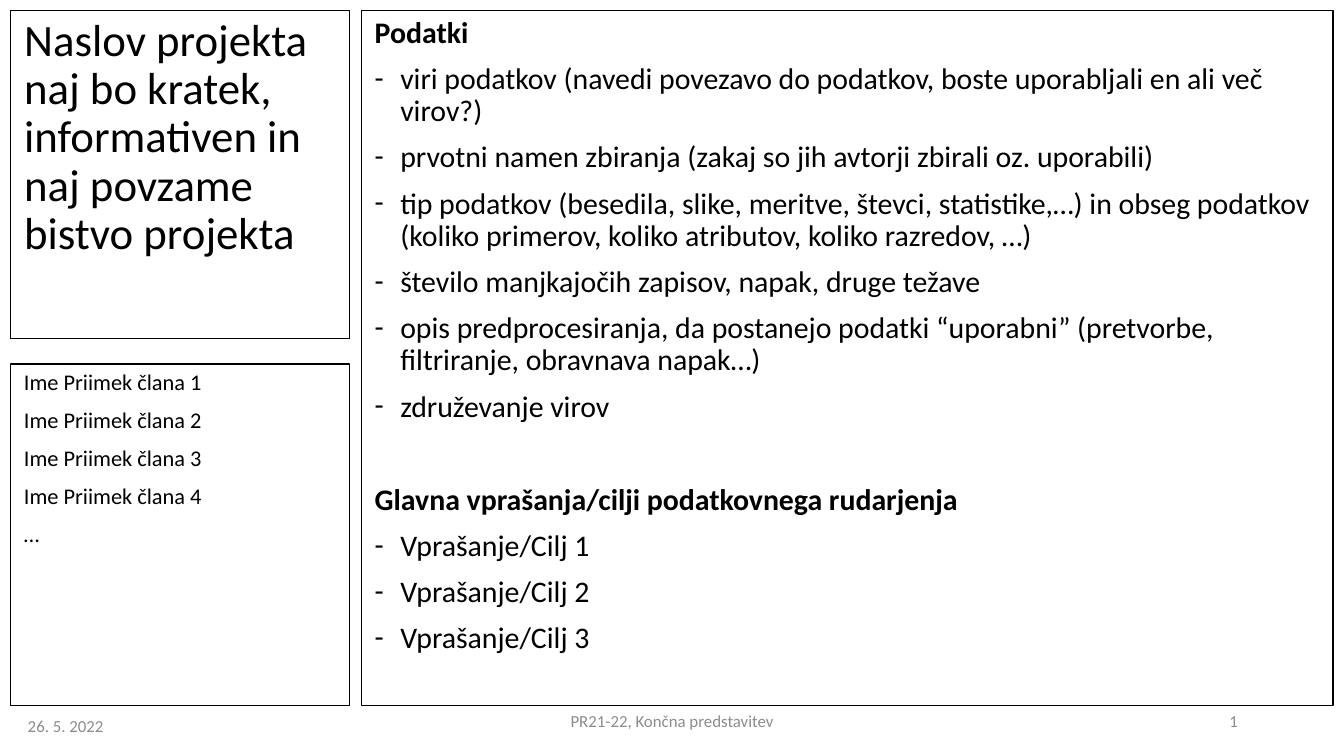
"""Build the project presentation slide with title, members, data and goals."""
from dataclasses import dataclass

from lxml.etree import SubElement
from pptx import Presentation
from pptx.dml.color import RGBColor
from pptx.enum.text import MSO_ANCHOR, MSO_AUTO_SIZE, PP_ALIGN
from pptx.oxml.ns import qn
from pptx.shapes.base import BaseShape
from pptx.slide import Slide
from pptx.util import Inches, Pt

BLACK = RGBColor(0x00, 0x00, 0x00)
GRAY = RGBColor(0x8C, 0x8C, 0x8C)
FONT = "Calibri"
SLIDE_WIDTH = Inches(10)
SLIDE_HEIGHT = SLIDE_WIDTH * 9 // 16
PARAGRAPH_GAP = 7.5
SECTION_GAP = 32.5
BULLET_INDENT = Inches(0.19)


@dataclass(frozen=True)
class Box:
    left: float
    top: float
    width: float
    height: float


@dataclass(frozen=True)
class Line:
    text: str
    size: float
    color: RGBColor = BLACK
    bold: bool = False
    bullet: bool = False
    before: float = PARAGRAPH_GAP
    spacing: float = 0.9
    align: PP_ALIGN = PP_ALIGN.LEFT


@dataclass(frozen=True)
class Section:
    heading: str
    points: tuple[str, ...]
    before: float


@dataclass(frozen=True)
class Footer:
    text: str
    box: Box
    align: PP_ALIGN


TITLE = "Naslov projekta naj bo kratek, informativen in naj povzame bistvo projekta"
TITLE_BOX = Box(0.08, 0.08, 2.52, 2.44)
MEMBERS_BOX = Box(0.08, 2.71, 2.52, 2.54)
CONTENT_BOX = Box(2.69, 0.08, 7.23, 5.17)
MEMBERS = [f"Ime Priimek člana {number}" for number in range(1, 5)] + ["…"]
SECTIONS = (
    Section("Podatki", (
        "viri podatkov (navedi povezavo do podatkov, boste uporabljali en ali več virov?)",
        "prvotni namen zbiranja (zakaj so jih avtorji zbirali oz. uporabili)",
        "tip podatkov (besedila, slike, meritve, števci, statistike,…) in obseg podatkov "
        "(koliko primerov, koliko atributov, koliko razredov, …)",
        "število manjkajočih zapisov, napak, druge težave",
        "opis predprocesiranja, da postanejo podatki “uporabni” "
        "(pretvorbe, filtriranje, obravnava napak…)",
        "združevanje virov",
    ), PARAGRAPH_GAP),
    Section(
        "Glavna vprašanja/cilji podatkovnega rudarjenja",
        tuple(f"Vprašanje/Cilj {number}" for number in range(1, 4)),
        SECTION_GAP,
    ),
)
FOOTERS = (
    Footer(" 26. 5. 2022", Box(0.08, 5.25, 4.11, 0.3), PP_ALIGN.LEFT),
    Footer("PR21-22, Končna predstavitev", Box(3.31, 5.21, 3.38, 0.3), PP_ALIGN.CENTER),
    Footer("1", Box(7.06, 5.21, 2.25, 0.3), PP_ALIGN.RIGHT),
)


def place(shape: BaseShape, box: Box) -> None:
    """Move and size a shape to a box."""
    shape.left, shape.top = Inches(box.left), Inches(box.top)
    shape.width, shape.height = Inches(box.width), Inches(box.height)


def outline(shape: BaseShape) -> None:
    """Give a shape the thin black frame."""
    shape.line.color.rgb = BLACK
    shape.line.width = Pt(0.75)


def write(shape: BaseShape, lines: list[Line], anchor: MSO_ANCHOR = MSO_ANCHOR.TOP) -> None:
    """Write one paragraph for each line."""
    frame = shape.text_frame
    frame.word_wrap = True
    frame.auto_size = MSO_AUTO_SIZE.NONE
    frame.vertical_anchor = anchor
    for index, line in enumerate(lines):
        paragraph = frame.add_paragraph() if index else frame.paragraphs[0]
        paragraph.alignment = line.align
        paragraph.line_spacing = line.spacing
        paragraph.space_before = Pt(line.before)
        if line.bullet:
            properties = paragraph._p.get_or_add_pPr()
            properties.set("marL", str(BULLET_INDENT))
            properties.set("indent", str(-BULLET_INDENT))
            SubElement(properties, qn("a:buFont")).set("typeface", FONT)
            SubElement(properties, qn("a:buChar")).set("char", "-")
        run = paragraph.add_run()
        run.text = line.text
        run.font.name = FONT
        run.font.size = Pt(line.size)
        run.font.bold = line.bold
        run.font.color.rgb = line.color


def add_text(slide: Slide, box: Box, lines: list[Line],
             anchor: MSO_ANCHOR = MSO_ANCHOR.TOP) -> BaseShape:
    """Add a text box holding the lines."""
    text_box = slide.shapes.add_textbox(0, 0, 0, 0)
    place(text_box, box)
    write(text_box, lines, anchor)
    return text_box


def section_lines(section: Section) -> list[Line]:
    """Turn a section into its heading and bulleted points."""
    heading = Line(section.heading, 16, bold=True, before=section.before)
    return [heading] + [Line(point, 16, bullet=True) for point in section.points]


def main() -> None:
    """Build and save the slide."""
    presentation = Presentation()
    presentation.slide_width, presentation.slide_height = SLIDE_WIDTH, SLIDE_HEIGHT
    slide = presentation.slides.add_slide(presentation.slide_layouts.get_by_name("Title Only"))
    title = slide.shapes.title
    place(title, TITLE_BOX)
    write(title, [Line(TITLE, 24, before=0)])
    outline(title)
    content = [line for section in SECTIONS for line in section_lines(section)]
    outline(add_text(slide, CONTENT_BOX, content))
    outline(add_text(slide, MEMBERS_BOX, [Line(member, 12) for member in MEMBERS]))
    for footer in FOOTERS:
        line = Line(footer.text, 9, GRAY, before=0, spacing=1.0, align=footer.align)
        add_text(slide, footer.box, [line], MSO_ANCHOR.MIDDLE)
    presentation.save("out.pptx")


if __name__ == "__main__":
    main()
